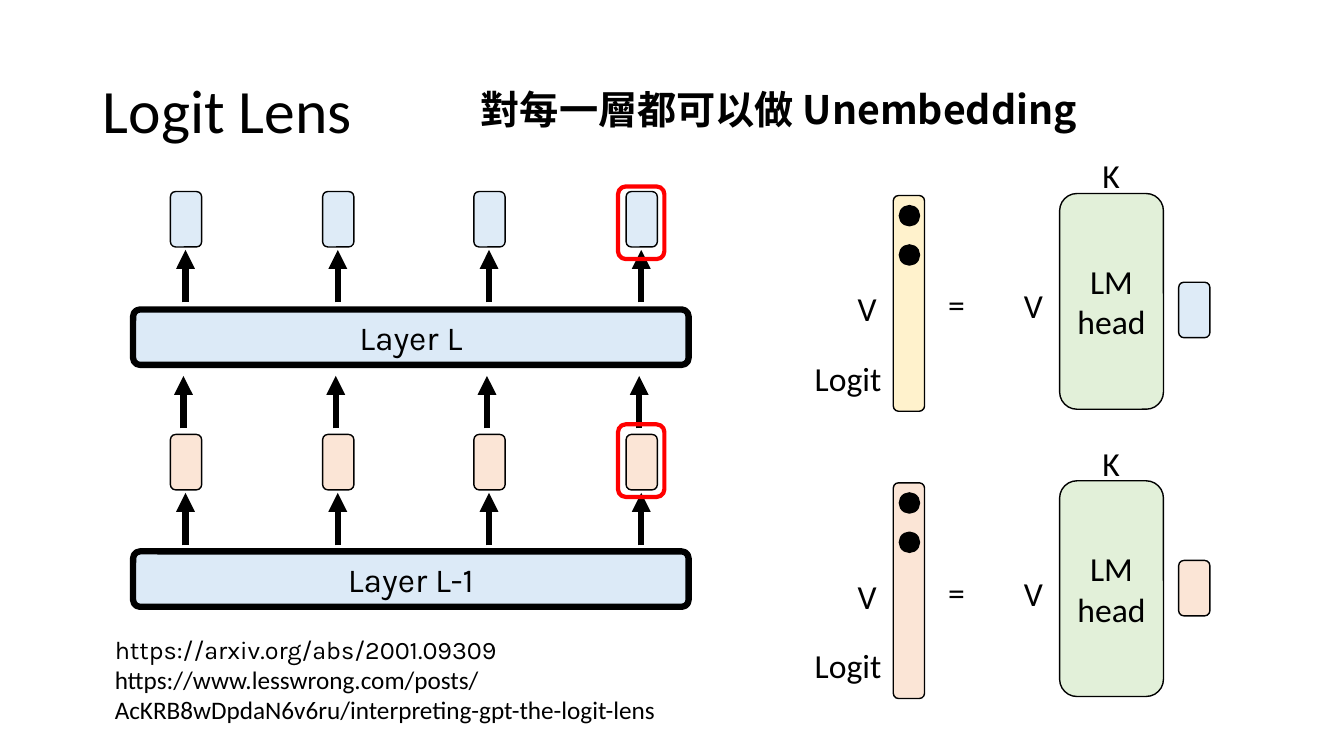
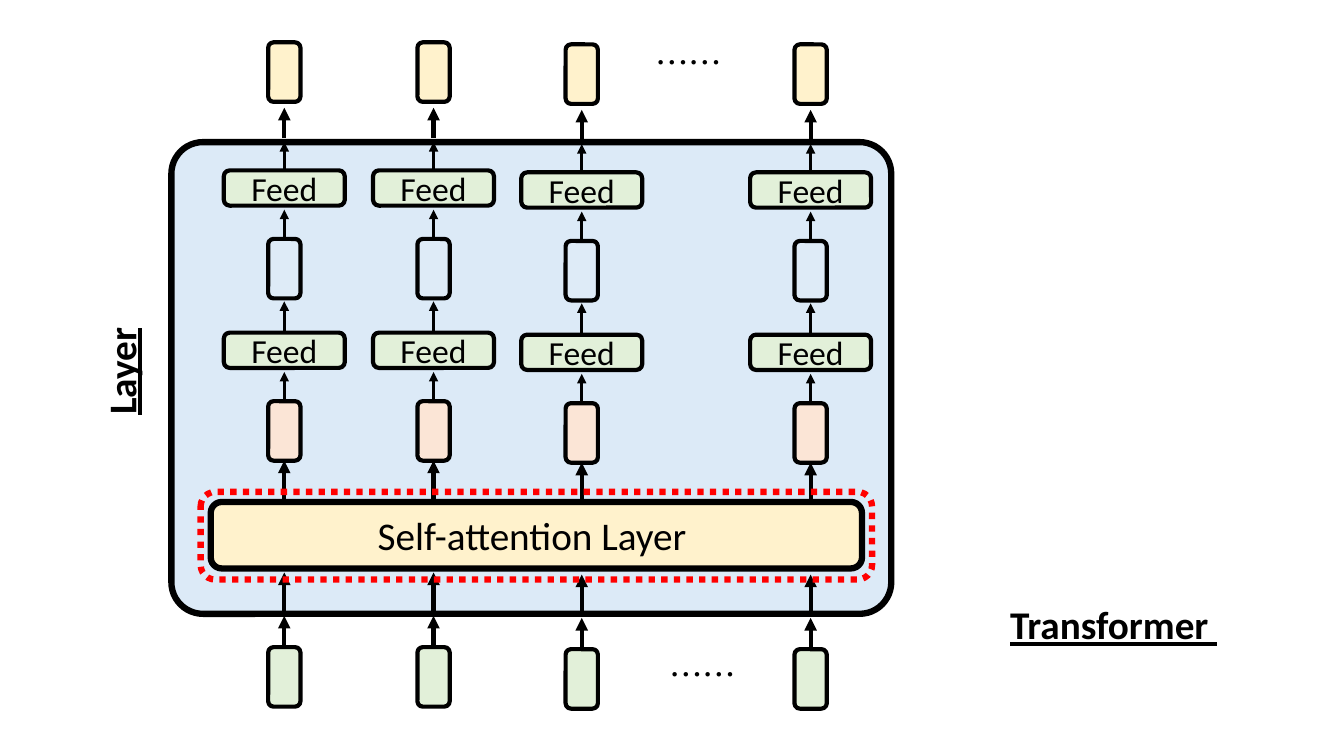
from dataclasses import dataclass
from typing import Optional

import lxml.etree
import pptx
import pptx.dml.color
import pptx.enum.dml
import pptx.enum.shapes
import pptx.enum.text
import pptx.oxml.ns
import pptx.util

PX = 9144  # EMU in one px, 100 px to the inch
SHAPES = pptx.enum.shapes.MSO_SHAPE
ALIGN = pptx.enum.text.PP_ALIGN
ANCHOR = pptx.enum.text.MSO_ANCHOR
TOP = 0  # connection site


# Theme and building blocks
@dataclass(frozen=True)
class Theme:
    black: str = "000000"
    red: str = "FF0000"
    layer: str = "DCEAF7"
    blue: str = "DEEBF7"
    peach: str = "FBE5D6"
    green: str = "E2F0D9"
    yellow: str = "FFF2CC"
    sans: str = "Calibri"
    rounded: str = "Karla"
    cjk: str = "Noto Sans CJK SC"
    title_size: int = 44
    heading_size: int = 28
    label_size: int = 24
    link_size: int = 18
    thick: float = 4.5
    medium: float = 3
    thin: float = 2.25
    hairline: float = 1


THEME = Theme()


@dataclass(frozen=True)
class TextStyle:
    font: str = THEME.sans
    size: int = THEME.label_size
    bold: bool = False
    underline: bool = False
    align: ALIGN = ALIGN.CENTER


@dataclass(frozen=True)
class Look:
    fill: Optional[str]
    weight: float = THEME.hairline
    line: str = THEME.black
    corner: Optional[float] = None
    dash: Optional[pptx.enum.dml.MSO_LINE] = None


@dataclass(frozen=True)
class Box:
    left: int
    top: int
    width: int
    height: int

    def emu(self) -> tuple[int, ...]:
        return tuple(v * PX for v in (self.left, self.top, self.width, self.height))


@dataclass(frozen=True)
class Column:
    """One token's way through the transformer layer."""
    centre: int
    drop: int


@dataclass(frozen=True)
class Equation:
    """Logit vector = LM head times one hidden vector."""
    top: int
    hidden_top: int
    hidden_colour: str
    logit_colour: str


LABEL = TextStyle()
HEADING = TextStyle(size=THEME.heading_size)
UNDERLINED = TextStyle(size=THEME.heading_size, bold=True, underline=True)
DOTS = TextStyle(font=THEME.cjk)


def rgb(colour: str) -> pptx.dml.color.RGBColor:
    return pptx.dml.color.RGBColor.from_string(colour)


def format_paragraph(paragraph, style: TextStyle) -> None:
    paragraph.alignment = style.align
    for run in paragraph.runs:
        run.font.name = style.font
        run.font.size = pptx.util.Pt(style.size)
        run.font.bold = style.bold
        run.font.underline = style.underline
        run.font.color.rgb = rgb(THEME.black)


def write(shape, text: str, style: TextStyle) -> None:
    shape.text_frame.word_wrap = True
    shape.text_frame.text = text
    for paragraph in shape.text_frame.paragraphs:
        format_paragraph(paragraph, style)
    if style.font == THEME.cjk:
        qn = pptx.oxml.ns.qn
        for properties in shape.element.iter(qn("a:rPr")):
            lxml.etree.SubElement(properties, qn("a:ea"), typeface=style.font)


def add_text(slide, box: Box, text: str, style: TextStyle = LABEL):
    label = slide.shapes.add_textbox(*box.emu())
    write(label, text, style)
    label.text_frame.auto_size = pptx.enum.text.MSO_AUTO_SIZE.SHAPE_TO_FIT_TEXT
    return label


def add_block(slide, box: Box, look: Look, text: str = "",
              style: TextStyle = LABEL, kind: SHAPES = SHAPES.ROUNDED_RECTANGLE):
    block = slide.shapes.add_shape(kind, *box.emu())
    block.shadow.inherit = False
    if look.fill is None:
        block.fill.background()
    else:
        block.fill.solid()
        block.fill.fore_color.rgb = rgb(look.fill)
    block.line.color.rgb = rgb(look.line)
    block.line.width = pptx.util.Pt(look.weight)
    if look.dash is not None:
        block.line.dash_style = look.dash
    if look.corner is not None:
        block.adjustments[0] = look.corner
    if text:
        write(block, text, style)
        block.text_frame.vertical_anchor = ANCHOR.MIDDLE
    return block


def add_up_arrow(slide, x: int, start: int, end: int, weight: float):
    arrow = slide.shapes.add_connector(
        pptx.enum.shapes.MSO_CONNECTOR.STRAIGHT, x * PX, start * PX, x * PX, end * PX)
    arrow.line.color.rgb = rgb(THEME.black)
    arrow.line.width = pptx.util.Pt(weight)
    qn = pptx.oxml.ns.qn
    properties = arrow.element.spPr
    lxml.etree.SubElement(properties.find(qn("a:ln")), qn("a:tailEnd"), type="triangle")
    lxml.etree.SubElement(properties, qn("a:effectLst"))
    return arrow


# Slide 1: logit lens
def add_equation(slide, equation: Equation) -> None:
    top = equation.top
    add_block(slide, Box(1169, equation.hidden_top, 31, 55), Look(equation.hidden_colour))
    add_block(slide, Box(1051, top, 103, 214), Look(THEME.green), "LM\nhead")
    add_block(slide, Box(886, top + 2, 31, 214), Look(equation.logit_colour))
    add_text(slide, Box(909, top + 85, 79, 50), "=")
    add_text(slide, Box(1075, top - 43, 54, 50), "K")
    add_text(slide, Box(998, top + 86, 54, 50), "V")
    add_text(slide, Box(833, top + 89, 54, 50), "V")
    for dot_top in (top + 12, top + 51):
        add_block(slide, Box(892, dot_top, 20, 20), Look(THEME.black), kind=SHAPES.OVAL)
    add_text(slide, Box(773, top + 158, 111, 50), "Logit", TextStyle(align=ALIGN.RIGHT))


def build_logit_lens(deck) -> None:
    slide = deck.slides.add_slide(deck.slide_layouts[5])

    # Title and heading
    title = slide.shapes.title
    title.left, title.top, title.width, title.height = Box(92, 40, 1150, 145).emu()
    write(title, "Logit Lens", TextStyle(size=THEME.title_size, align=ALIGN.LEFT))
    title.text_frame.vertical_anchor = ANCHOR.MIDDLE
    title.text_frame.paragraphs[0].line_spacing = 0.9
    add_text(slide, Box(467, 80, 652, 57), "對每一層都可以做 Unembedding",
             TextStyle(THEME.cjk, THEME.heading_size, bold=True, align=ALIGN.LEFT))

    # Layers with their hidden vectors
    centres = [184 + round(150.7 * i) for i in range(4)]
    for centre in centres:
        for x, start in ((centre, 541), (centre - 2, 425), (centre, 300)):
            add_up_arrow(slide, x, start, start - 52, THEME.thick)
        for top, colour in ((431, THEME.peach), (190, THEME.blue)):
            add_block(slide, Box(centre - 15, top, 31, 55), Look(colour))
    for top, name in ((307, "Layer L"), (547, "Layer L-1")):
        add_block(slide, Box(132, top, 551, 55),
                  Look(THEME.layer, THEME.thick, corner=0.125), name,
                  TextStyle(font=THEME.rounded))

    # Unembedding of each layer
    for equation in (Equation(192, 280, THEME.blue, THEME.yellow),
                     Equation(477, 556, THEME.peach, THEME.peach)):
        add_equation(slide, equation)

    # Links
    links = add_text(
        slide, Box(104, 624, 603, 101),
        "https://arxiv.org/abs/2001.09309\n"
        "https://www.lesswrong.com/posts/AcKRB8wDpdaN6v6ru/interpreting-gpt-the-logit-lens",
        TextStyle(size=THEME.link_size, align=ALIGN.LEFT))
    links.text_frame.paragraphs[0].runs[0].font.name = THEME.rounded

    # Marks around the last token
    for top in (185, 421):
        add_block(slide, Box(613, top, 46, 72), Look(None, THEME.medium, THEME.red))


# Slide 2: transformer layer
def add_column(slide, column: Column) -> None:
    x, drop = column.centre, column.drop

    def vector(top: int, colour: str):
        return add_block(slide, Box(x - 16, top + drop, 32, 59), Look(colour, THEME.medium))

    def feed(top: int):
        return add_block(slide, Box(x - 60, top + drop, 120, 35),
                         Look(THEME.green, THEME.medium), "Feed")

    def arrow(start: int, end: int, weight: float):
        return add_up_arrow(slide, x, start + drop, end + drop, weight)

    token = vector(642, THEME.green)
    attended = vector(398, THEME.peach)
    lower_feed = feed(330)
    hidden = vector(237, THEME.blue)
    upper_feed = feed(169)
    vector(42, THEME.yellow)

    arrow(642, 611, THEME.medium).begin_connect(token, TOP)
    arrow(609, 568, THEME.medium)
    arrow(498, 457, THEME.medium).end_connect(attended, 2)
    arrow(398, 369, THEME.thin).begin_connect(attended, TOP)
    arrow(330, 299, THEME.thin).begin_connect(lower_feed, TOP)
    arrow(237, 208, THEME.thin).begin_connect(hidden, TOP)
    arrow(169, 141, THEME.thin).begin_connect(upper_feed, TOP)
    arrow(137, 107, THEME.medium)


def build_transformer(deck) -> None:
    slide = deck.slides.add_slide(deck.slide_layouts[6])

    # Layer and its attention
    add_block(slide, Box(170, 141, 714, 468), Look(THEME.layer, THEME.thick, corner=0.067))
    for left, top in ((599, 644), (585, 37)):
        add_text(slide, Box(left, top, 196, 50), "……", DOTS)
    add_block(slide, Box(209, 498, 646, 66), Look(THEME.yellow, THEME.thick),
              "Self-attention Layer ", HEADING)

    # Token columns
    for column in (Column(282, 0), Column(430, 0), Column(577, 2), Column(804, 2)):
        add_column(slide, column)

    # Names and attention mark
    add_text(slide, Box(40, 340, 160, 57), "Layer", UNDERLINED).rotation = 270
    add_block(slide, Box(199, 488, 666, 87),
              Look(None, THEME.thick, THEME.red, dash=pptx.enum.dml.MSO_LINE.ROUND_DOT))
    add_text(slide, Box(950, 591, 309, 57), "Transformer ", UNDERLINED)


def main() -> None:
    deck = pptx.Presentation()
    deck.slide_width, deck.slide_height = 1333 * PX, 750 * PX
    build_logit_lens(deck)
    build_transformer(deck)
    deck.save("out.pptx")


if __name__ == "__main__":
    main()
